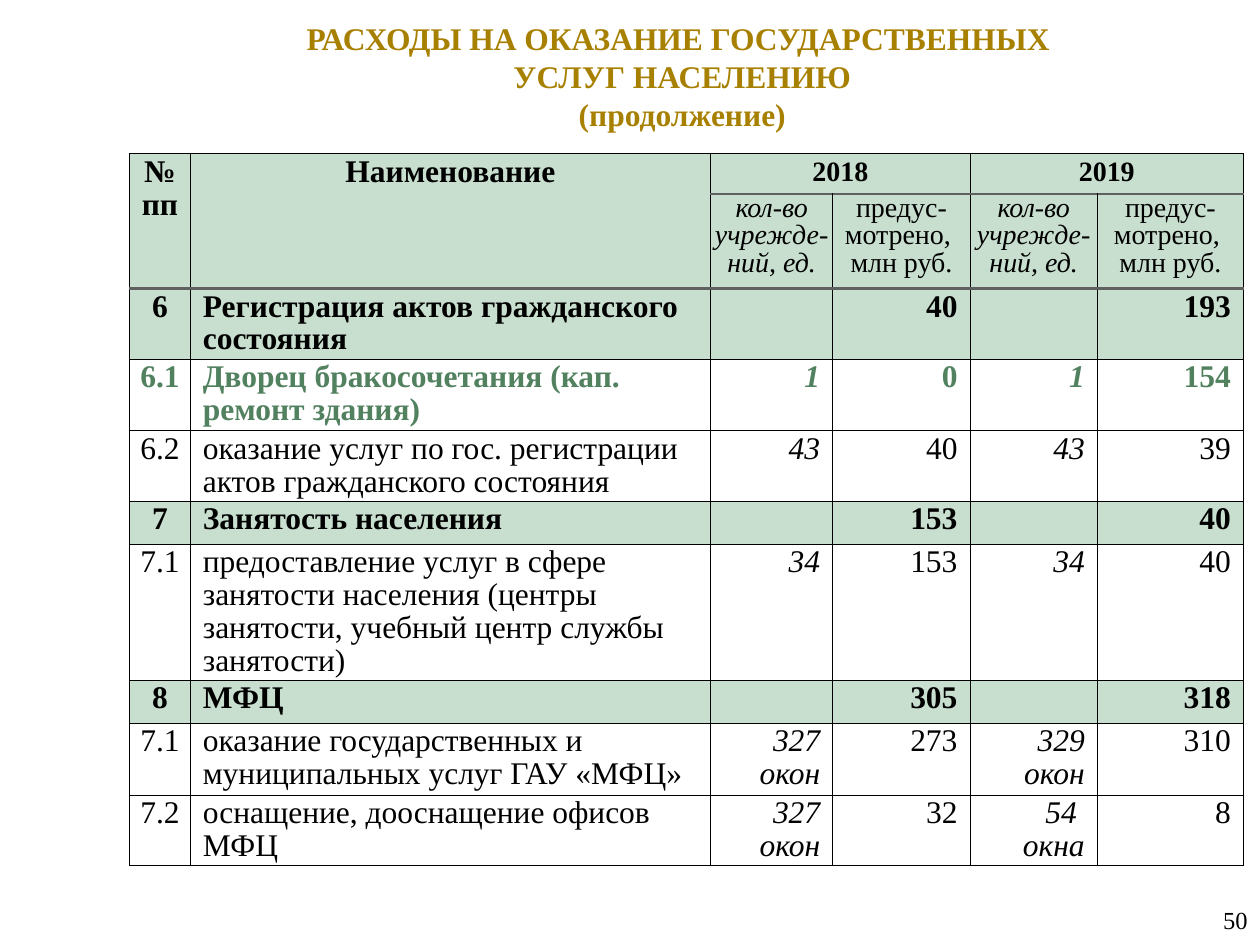
import pptx
import pptx.util
import pptx.dml.color
import pptx.enum.text
from dataclasses import dataclass
from lxml import etree
from pptx.oxml.ns import qn

Inches, Pt = pptx.util.Inches, pptx.util.Pt
RGB = pptx.dml.color.RGBColor.from_string
ALIGN = pptx.enum.text.PP_ALIGN
MIDDLE = pptx.enum.text.MSO_ANCHOR.MIDDLE


@dataclass(frozen=True)
class Theme:
    font: str = "Times New Roman"
    black: str = "000000"
    gold: str = "A88000"
    green: str = "51815F"
    pale_green: str = "C8DECE"
    grey: str = "606060"
    body: int = 18
    header: int = 16
    page: int = 14
    body_leading: float = 18.75
    year_leading: float = 16.65
    measure_leading: float = 15.6
    thin: float = 0.5
    medium: float = 0.75
    thick: float = 1.5


THEME = Theme()


@dataclass(frozen=True)
class Style:
    size: int = THEME.body
    color: str = THEME.black
    bold: bool = False
    italic: bool = False
    align: int = ALIGN.RIGHT
    leading: float = THEME.body_leading
    insets: tuple = (0.1, 0.02, 0.1, 0.02)  # left, top, right, bottom


@dataclass(frozen=True)
class Expense:
    number: str
    name: str
    count_2018: str
    sum_2018: str
    count_2019: str
    sum_2019: str
    group: bool = False
    highlight: bool = False


EXPENSES = [
    Expense("6", "Регистрация актов гражданского состояния", "", "40", "", "193", group=True),
    Expense("6.1", "Дворец бракосочетания (кап. ремонт здания)", "1", "0", "1", "154", highlight=True),
    Expense("6.2", "оказание услуг по гос. регистрации актов гражданского состояния",
            "43", "40", "43", "39"),
    Expense("7", "Занятость населения", "", "153", "", "40", group=True),
    Expense("7.1", "предоставление услуг в сфере занятости населения "
            "(центры занятости, учебный центр службы занятости)", "34", "153", "34", "40"),
    Expense("8", "МФЦ", "", "305", "", "318", group=True),
    Expense("7.1", "оказание государственных и муниципальных услуг ГАУ «МФЦ»",
            "327 окон", "273", "329 окон", "310"),
    Expense("7.2", "оснащение, дооснащение офисов МФЦ", "327 окон", "32", "54 \nокна", "8"),
]
COLUMN_WIDTHS = [0.48, 4.13, 0.97, 1.09, 1.01, 1.16]
ROW_HEIGHTS = [0.32, 0.75, 0.56, 0.57, 0.56, 0.34, 1.08, 0.32, 0.57, 0.56]
HEADER_ROWS = 2


def add_run(paragraph, text: str, style: Style) -> None:
    run = paragraph.add_run()
    run.text = text
    font = run.font
    font.name, font.size = THEME.font, Pt(style.size)
    font.bold, font.italic = style.bold, style.italic
    font.color.rgb = RGB(style.color)


def set_border(cell, side: str, color: str, width: float) -> None:
    line = etree.SubElement(cell._tc.get_or_add_tcPr(), qn(f"a:ln{side}"), w=str(int(Pt(width))))
    fill = etree.SubElement(line, qn("a:solidFill"))
    etree.SubElement(fill, qn("a:srgbClr"), val=color)


def set_borders(cell, row: int, column: int) -> None:
    """Draw thin black edges, with grey rules under the header rows."""
    black = (THEME.black, THEME.thin)
    rules = {HEADER_ROWS: (THEME.grey, THEME.thick)}
    if column >= 2:
        rules[1] = (THEME.grey, THEME.medium)
    edges = {"L": black, "R": black, "T": rules.get(row, black), "B": rules.get(row + 1, black)}
    for side, (color, width) in edges.items():
        set_border(cell, side, color, width)


def fill_cell(cell, text: str, style: Style) -> None:
    cell.margin_left, cell.margin_top, cell.margin_right, cell.margin_bottom = map(Inches, style.insets)
    for index, line in enumerate(text.split("\n")):
        frame = cell.text_frame
        paragraph = frame.add_paragraph() if index else frame.paragraphs[0]
        paragraph.alignment, paragraph.line_spacing = style.align, Pt(style.leading)
        if line:
            add_run(paragraph, line, style)


def add_header(table) -> None:
    heading = Style(bold=True, align=ALIGN.CENTER, insets=(0.01, 0.02, 0.01, 0.02))
    year = Style(THEME.header, bold=True, align=ALIGN.CENTER,
                 leading=THEME.year_leading, insets=(0.01, 0.04, 0.01, 0.04))
    for column, label in enumerate(["№ пп", "Наименование"]):
        table.cell(0, column).merge(table.cell(1, column))
        fill_cell(table.cell(0, column), label, heading)
    measures = ["кол-во учрежде-ний, ед.", "предус-мотрено, \nмлн руб."]
    for first, label in [(2, "2018"), (4, "2019")]:
        table.cell(0, first).merge(table.cell(0, first + 1))
        fill_cell(table.cell(0, first), label, year)
        for offset, measure in enumerate(measures):
            style = Style(THEME.header, italic=offset == 0, align=ALIGN.CENTER,
                          leading=THEME.measure_leading, insets=(0, 0.02, 0, 0.02))
            fill_cell(table.cell(1, first + offset), measure, style)


def add_expense(table, row: int, expense: Expense) -> None:
    look = dict(bold=expense.group or expense.highlight,
                color=THEME.green if expense.highlight else THEME.black)
    count, total = Style(italic=True, **look), Style(**look)
    number = Style(align=ALIGN.CENTER, insets=(0.01, 0.02, 0.01, 0.02), **look)
    name = Style(align=ALIGN.LEFT, insets=(0.1, 0.02, 0, 0.02), **look)
    entries = [(expense.number, number), (expense.name, name),
               (expense.count_2018, count), (expense.sum_2018, total),
               (expense.count_2019, count), (expense.sum_2019, total)]
    for column, (text, style) in enumerate(entries):
        fill_cell(table.cell(row, column), text, style)


def add_expense_table(slide) -> None:
    table = slide.shapes.add_table(
        len(ROW_HEIGHTS), len(COLUMN_WIDTHS), Inches(1.03), Inches(1.22),
        Inches(sum(COLUMN_WIDTHS)), Inches(sum(ROW_HEIGHTS))).table
    table.first_row = table.horz_banding = False
    for column, width in zip(table.columns, COLUMN_WIDTHS):
        column.width = Inches(width)
    for index, height in enumerate(ROW_HEIGHTS):
        table.rows[index].height = Inches(height)
        shaded = index < HEADER_ROWS or EXPENSES[index - HEADER_ROWS].group
        for column in range(len(COLUMN_WIDTHS)):
            cell = table.cell(index, column)
            set_borders(cell, index, column)
            if shaded:
                cell.fill.solid()
                cell.fill.fore_color.rgb = RGB(THEME.pale_green)
            else:
                cell.fill.background()
    add_header(table)
    for row, expense in enumerate(EXPENSES, HEADER_ROWS):
        add_expense(table, row, expense)


def add_title(slide) -> None:
    title = slide.shapes.title
    title.left, title.top, title.width, title.height = map(Inches, (1.13, 0.07, 8.57, 1.06))
    frame = title.text_frame
    frame.word_wrap, frame.vertical_anchor = True, MIDDLE
    frame.auto_size = pptx.enum.text.MSO_AUTO_SIZE.NONE
    paragraph = frame.paragraphs[0]
    paragraph.alignment = ALIGN.CENTER
    lines = ["РАСХОДЫ НА ОКАЗАНИЕ ГОСУДАРСТВЕННЫХ ", "УСЛУГ НАСЕЛЕНИЮ", "(продолжение)"]
    for index, line in enumerate(lines):
        if index:
            paragraph.add_line_break()
        add_run(paragraph, line, Style(color=THEME.gold, bold=True))


def add_page_number(slide) -> None:
    page = slide.shapes.add_textbox(Inches(7.75), Inches(7.1), Inches(2.25), Inches(0.4))
    page.text_frame.word_wrap = True
    page.text_frame.vertical_anchor = MIDDLE
    paragraph = page.text_frame.paragraphs[0]
    paragraph.alignment = ALIGN.RIGHT
    add_run(paragraph, "50", Style(THEME.page))


def main() -> None:
    deck = pptx.Presentation()
    deck.slide_width, deck.slide_height = Inches(10), Inches(7.5)
    slide = deck.slides.add_slide(deck.slide_layouts.get_by_name("Title Only"))
    add_page_number(slide)
    add_expense_table(slide)
    add_title(slide)
    deck.save("out.pptx")


if __name__ == "__main__":
    main()
